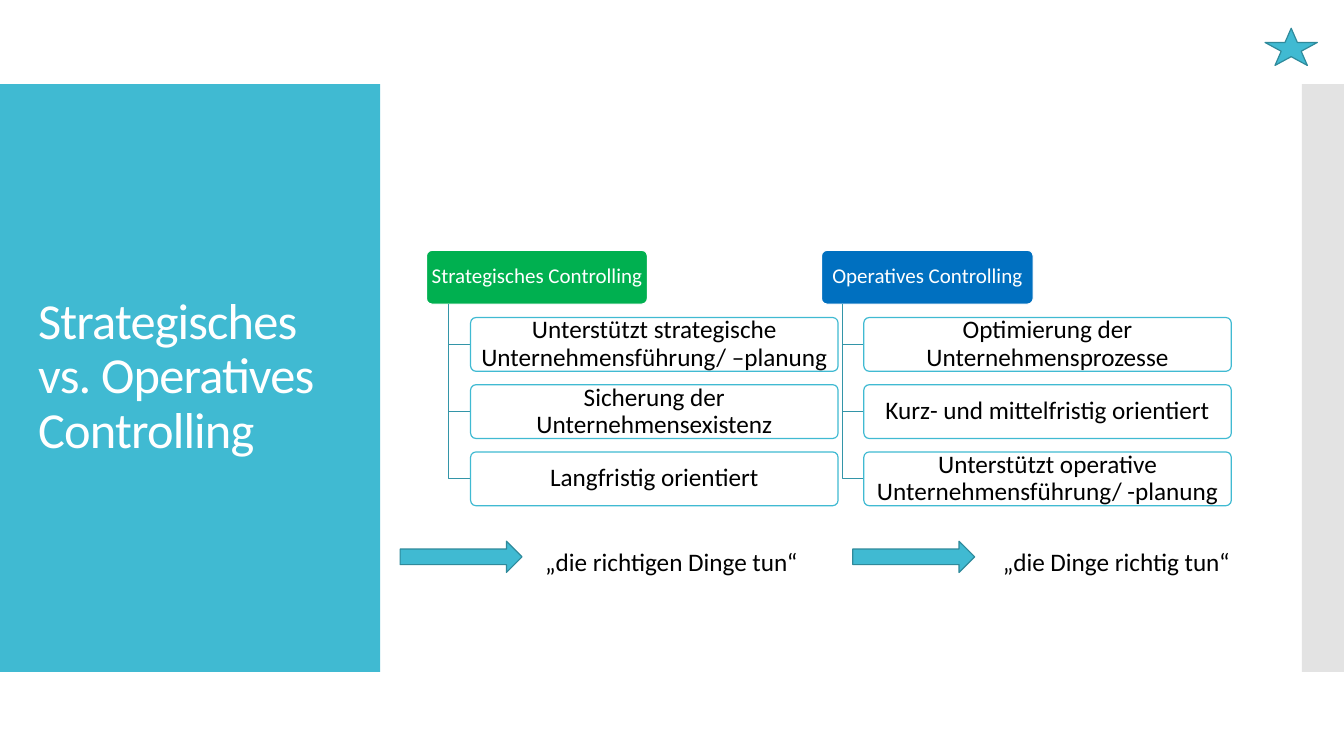
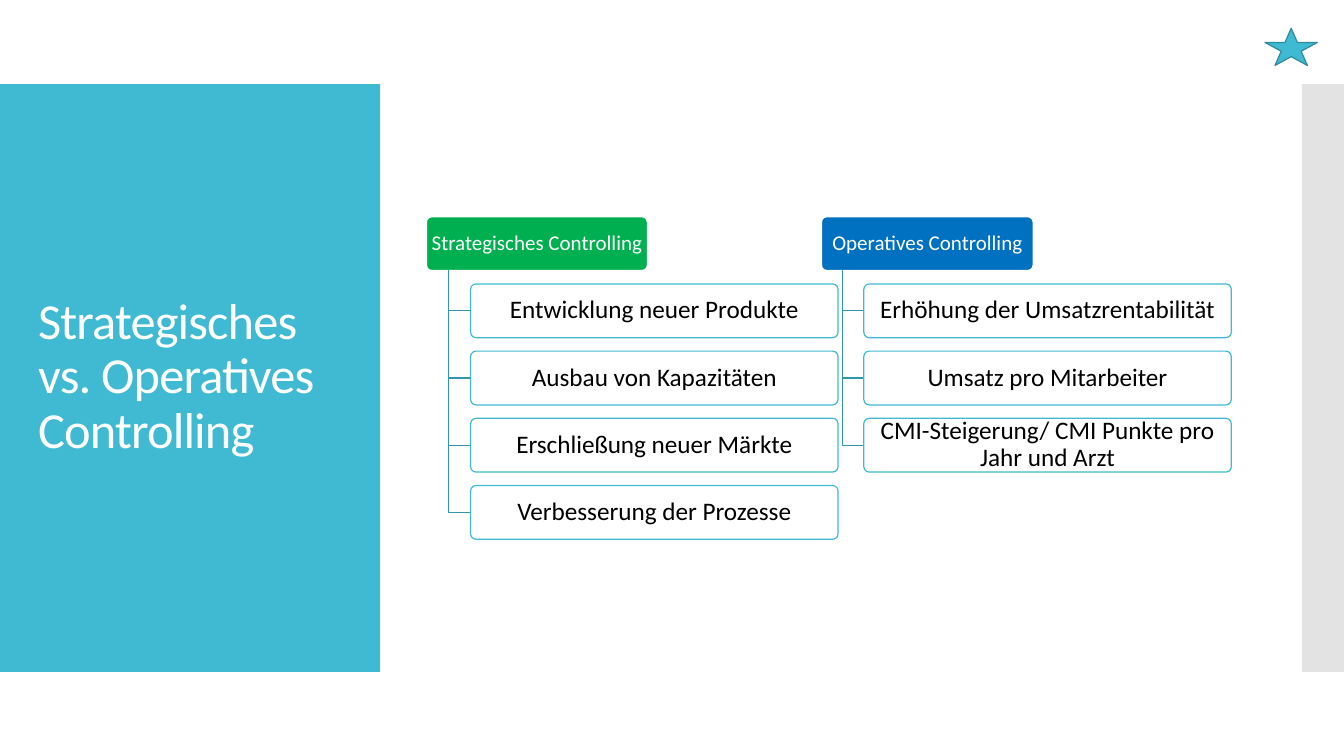
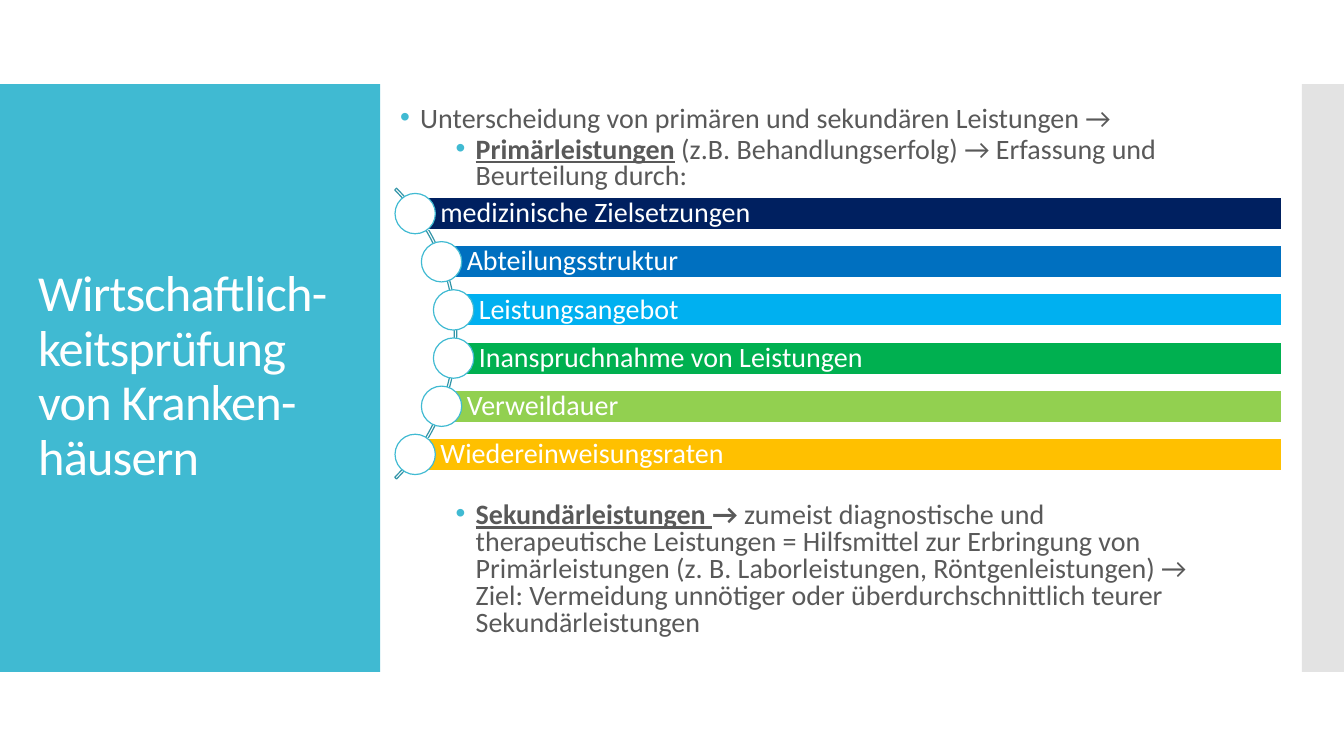
from lxml import etree
from pptx import Presentation
from pptx.dml.color import RGBColor
from pptx.enum import shapes, text
from pptx.oxml import ns
from pptx.util import Pt

TEAL = RGBColor(0x40, 0xBA, 0xD2)
EDGE = RGBColor(0x2F, 0x8A, 0x9B)
STEM = RGBColor(0x33, 0x95, 0xA8)
GREY = RGBColor(0xC8, 0xC8, 0xC8)
INK = RGBColor(0x59, 0x59, 0x59)
BLACK = RGBColor(0, 0, 0)
WHITE = RGBColor(0xFF, 0xFF, 0xFF)
NAVY = RGBColor(0x00, 0x20, 0x60)
BLUE = RGBColor(0x00, 0x70, 0xC0)
SKY = RGBColor(0x00, 0xB0, 0xF0)
GREEN = RGBColor(0x00, 0xB0, 0x50)
LIME = RGBColor(0x92, 0xD0, 0x50)
GOLD = RGBColor(0xFF, 0xC0, 0x00)
FONT = "Calibri"
KIND = shapes.MSO_SHAPE
ALIGN = text.PP_ALIGN


def draw(slide, kind, box, fill=None, line=None):
    shape = slide.shapes.add_shape(kind, *[Pt(v) for v in box])
    shape.shadow.inherit = False
    if fill is None:
        shape.fill.background()
    else:
        shape.fill.solid()
        shape.fill.fore_color.rgb = fill
    if line is None:
        shape.line.fill.background()
    else:
        shape.line.color.rgb = line
        shape.line.width = Pt(0.85)
    return shape


def write(shape, words, size, color, align=ALIGN.LEFT, gap=0.9, pads=None):
    frame = shape.text_frame
    frame.word_wrap = True
    frame.vertical_anchor = text.MSO_ANCHOR.MIDDLE
    if pads:
        frame.margin_left, frame.margin_right = Pt(pads[0]), Pt(pads[1])
        frame.margin_top = frame.margin_bottom = 0
    frame.text = words
    par = frame.paragraphs[0]
    par.alignment = align
    par.line_spacing = gap
    par.font.name, par.font.size = FONT, Pt(size)
    par.font.color.rgb = color
    return par


deck = Presentation()
deck.slide_width, deck.slide_height = Pt(960), Pt(540)
layout = deck.slide_layouts[5]
head, *rest = layout.placeholders
for item in rest:
    item._element.getparent().remove(item._element)
head.left, head.top, head.width, head.height = Pt(20), Pt(88.5), Pt(232), Pt(362)

versus = "Strategisches vs. Operatives Controlling"
check = "Wirtschaftlich-keitsprüfung von Kranken-häusern"
pages = []
for name in (versus, versus, check):
    page = deck.slides.add_slide(layout)
    par = write(page.shapes.title, name, 36, WHITE)
    par.runs[0]._r.get_or_add_rPr().set("spc", "-60")
    pages.append(page)

panel = draw(pages[0], KIND.RECTANGLE, (0, 60, 271.5, 420), TEAL)
strip = draw(pages[0], KIND.RECTANGLE, (930, 60, 30, 420), GREY)
tint = strip._element.find(".//" + ns.qn("a:srgbClr"))
etree.SubElement(tint, ns.qn("a:alpha"), val="50000")
for band in (strip, panel):
    layout.shapes._spTree.insert(2, band._element)

heads = [("Strategisches Controlling", GREEN, 304.6, 157.8),
         ("Operatives Controlling", BLUE, 586.8, 151.2)]
trees = [
    [["Unterstützt strategische Unternehmensführung/ –planung",
      "Sicherung der Unternehmensexistenz",
      "Langfristig orientiert"],
     ["Optimierung der Unternehmensprozesse",
      "Kurz- und mittelfristig orientiert",
      "Unterstützt operative Unternehmensführung/ -planung"]],
    [["Entwicklung neuer Produkte",
      "Ausbau von Kapazitäten",
      "Erschließung neuer Märkte",
      "Verbesserung der Prozesse"],
     ["Erhöhung der Umsatzrentabilität",
      "Umsatz pro Mitarbeiter",
      "CMI-Steigerung/ CMI Punkte pro Jahr und Arzt"]],
]
step, tall = 48, 38.4
for page, tree in zip(pages, trees):
    rows = 1 + max(len(items) for items in tree)
    top = 270 - (rows * step - step + tall) / 2
    for (name, color, left, wide), items in zip(heads, tree):
        box = draw(page, KIND.ROUNDED_RECTANGLE, (left, top, wide, tall), color, WHITE)
        box.adjustments[0] = 0.1
        write(box, name, 15, WHITE, ALIGN.CENTER, pads=(2, 2))
        stem, edge = left + 0.1 * wide, left + 0.2 * wide
        for i, words in enumerate(items, 1):
            y = top + i * step
            mid = Pt(y + tall / 2)
            pen = page.shapes.build_freeform(Pt(stem), Pt(top + tall))
            pen.add_line_segments([(Pt(stem), mid), (Pt(edge), mid)], close=False)
            elbow = pen.convert_to_shape()
            elbow.shadow.inherit = False
            elbow.fill.background()
            elbow.line.color.rgb = STEM
            elbow.line.width = Pt(0.85)
            box = draw(page, KIND.ROUNDED_RECTANGLE, (edge, y, 262.5, tall), WHITE, TEAL)
            box.adjustments[0] = 0.1
            write(box, words, 18, BLACK, ALIGN.CENTER, pads=(3, 3))
    draw(page, KIND.STAR_5_POINT, (903.6, 20.2, 37.4, 26.6), TEAL, EDGE)

mottos = [("„die richtigen Dinge tun“", 285.8, 382.3),
          ("„die Dinge richtig tun“", 609.1, 709.2)]
for words, left, start in mottos:
    draw(pages[0], KIND.RIGHT_ARROW, (left, 386.6, 87.1, 22.3), TEAL, EDGE)
    note = pages[0].shapes.add_textbox(Pt(start), Pt(386.6), Pt(240), Pt(29))
    write(note, words, 18, BLACK, gap=1)

page = pages[2]
notes = [
    (76.5, 60, [
        (14.4, [("Unterscheidung von primären und sekundären Leistungen →", False, False)]),
        (54, [("Primärleistungen", True, True),
              (" (z.B. Behandlungserfolg) → Erfassung und Beurteilung durch:", False, False)])]),
    (359.5, 100, [
        (54, [("Sekundärleistungen ", True, True),
              ("→ ", True, False),
              ("zumeist diagnostische und therapeutische Leistungen = Hilfsmittel zur "
               "Erbringung von Primärleistungen (z. B. Laborleistungen, Röntgenleistungen) → "
               "Ziel: Vermeidung unnötiger oder überdurchschnittlich teurer "
               "Sekundärleistungen", False, False)])]),
]
for top, high, points in notes:
    frame = page.shapes.add_textbox(Pt(285.8), Pt(top), Pt(570), Pt(high)).text_frame
    frame.word_wrap = True
    frame.margin_left = frame.margin_right = frame.margin_top = frame.margin_bottom = 0
    for i, (dent, runs) in enumerate(points):
        par = frame.add_paragraph() if i else frame.paragraphs[0]
        par.line_spacing = 0.8
        par.space_before = Pt(2.5 if i else 0)
        props = par._p.get_or_add_pPr()
        props.set("marL", str(Pt(dent)))
        props.set("indent", str(Pt(-14.4)))
        tint = etree.SubElement(props, ns.qn("a:buClr"))
        etree.SubElement(tint, ns.qn("a:srgbClr"), val=str(TEAL))
        etree.SubElement(props, ns.qn("a:buFont"), typeface="Arial")
        etree.SubElement(props, ns.qn("a:buChar"), char="•")
        par.font.name, par.font.size = FONT, Pt(20)
        par.font.color.rgb = INK
        for words, bold, under in runs:
            run = par.add_run()
            run.text = words
            run.font.bold, run.font.underline = bold, under

arc = draw(page, KIND.BLOCK_ARC, (32.4, 91.4, 293.8, 293.8), line=STEM)
for i, value in enumerate((189, 27, 0.006)):
    arc.adjustments[i] = value
goals = [("medizinische Zielsetzungen", NAVY), ("Abteilungsstruktur", BLUE),
         ("Leistungsangebot", SKY), ("Inanspruchnahme von Leistungen", GREEN),
         ("Verweildauer", LIME), ("Wiedereinweisungsraten", GOLD)]
lefts = (296.6, 315.4, 324)
for i, (words, color) in enumerate(goals):
    left = lefts[min(i, len(goals) - 1 - i)]
    top = 141.1 + i * 34.4
    bar = draw(page, KIND.RECTANGLE, (left, top, 915.8 - left, 23), color, WHITE)
    write(bar, words, 20, WHITE, pads=(18, 4))
    draw(page, KIND.OVAL, (left - 14.4, top - 2.9, 28.8, 28.8), WHITE, TEAL)

deck.save("out.pptx")
